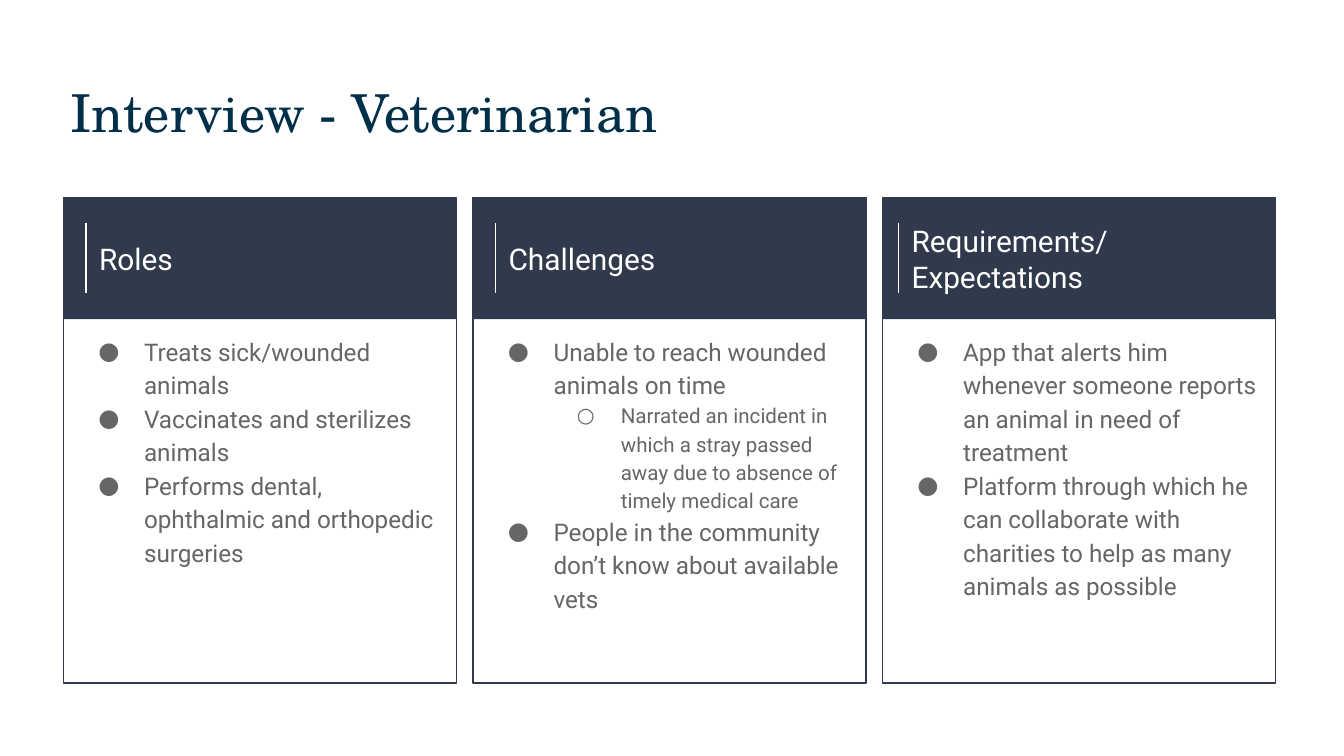
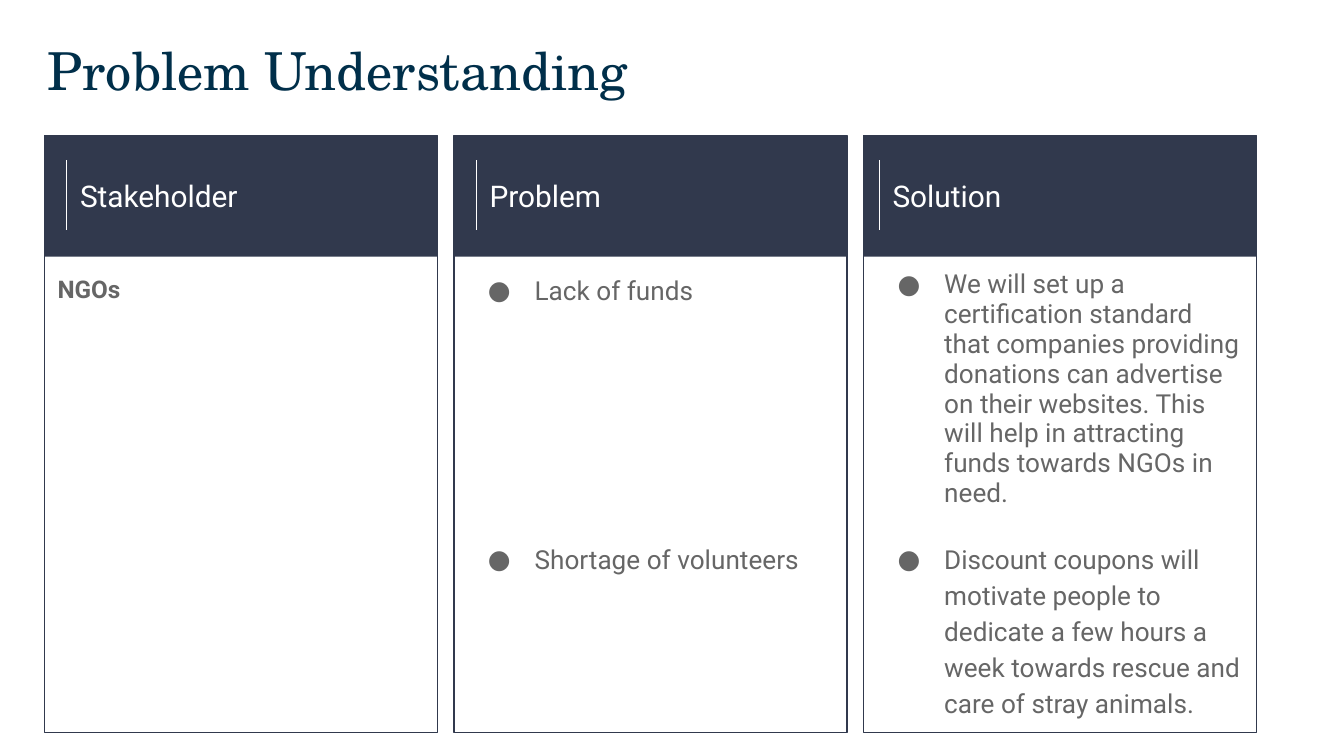
from lxml import etree
from pptx import Presentation
from pptx.dml.color import RGBColor
from pptx.enum import shapes, text
from pptx.oxml import ns
from pptx.util import Pt

NAVY, INK, GREY, WHITE = "31394D", "002F4A", "666666", "FFFFFF"
SERIF, SANS = "TeX Gyre Schola", "Roboto"
BULLETS = "●○"
COLUMN_WIDTH, COLUMN_PITCH, BAND_HEIGHT = 210.5, 219.4, 65
RULE_INSETS = (12, 12, 8.5)


def colour(value):
    return RGBColor.from_string(value)


class Deck:
    """Holds the shared style and the page being built."""

    def __init__(self):
        self.deck = Presentation()
        self.deck.slide_width, self.deck.slide_height = Pt(720), Pt(405)

    def start_page(self, title, title_left, title_top, left, top, height):
        self.page = self.deck.slides.add_slide(self.deck.slide_layouts[4])
        self.left, self.top, self.height = left, top, height
        heading, *self.bodies = list(self.page.placeholders)
        self.place(heading, title_left, title_top, 659, 54)
        para = heading.text_frame.paragraphs[0]
        self.span(para, title, 28, INK, SERIF)

    def finish_page(self):
        for body in self.bodies:
            body.element.getparent().remove(body.element)

    def column_left(self, column):
        return self.left + column * COLUMN_PITCH

    def place(self, box, left, top, width, height, anchor=text.MSO_ANCHOR.TOP):
        box.left, box.top, box.width, box.height = map(Pt, (left, top, width, height))
        frame = box.text_frame
        frame.word_wrap = True
        frame.auto_size = text.MSO_AUTO_SIZE.NONE
        frame.vertical_anchor = anchor
        frame.margin_left = frame.margin_right = Pt(7.2)
        frame.margin_top = frame.margin_bottom = Pt(7.2)
        frame.paragraphs[0].alignment = text.PP_ALIGN.LEFT

    def span(self, para, words, size, ink, font=SANS, bold=False):
        span = para.add_run()
        span.text = words
        span.font.name, span.font.size, span.font.bold = font, Pt(size), bold
        span.font.color.rgb = colour(ink)

    def bullet(self, para, level, size):
        para.level = level
        props = para._p.get_or_add_pPr()
        props.set("marL", str(Pt(36 * (level + 1))))
        props.set("indent", str(-Pt(18 + size / 2)))
        tint = etree.SubElement(props, ns.qn("a:buClr"))
        etree.SubElement(tint, ns.qn("a:srgbClr"), val=GREY)
        etree.SubElement(props, ns.qn("a:buFont"), typeface=SANS)
        etree.SubElement(props, ns.qn("a:buChar"), char=BULLETS[level])

    def text_box(self, left, top, width, height, lines, size, ink,
                 anchor=text.MSO_ANCHOR.TOP, bold=False, spacing=1.0):
        box = self.page.shapes.add_textbox(0, 0, 0, 0)
        self.place(box, left, top, width, height, anchor)
        frame = box.text_frame
        for index, line in enumerate(lines):
            para = frame.add_paragraph() if index else frame.paragraphs[0]
            para.line_spacing = spacing
            self.span(para, line, size, ink, bold=bold)

    def bullet_list(self, column, top, height, items, spacing=1.15):
        """Each item is (level, size, words)."""
        box = self.bodies.pop(0)
        self.place(box, self.column_left(column), top, COLUMN_WIDTH, height)
        frame = box.text_frame
        for index, (level, size, words) in enumerate(items):
            para = frame.add_paragraph() if index else frame.paragraphs[0]
            self.bullet(para, level, size)
            para.alignment = text.PP_ALIGN.LEFT
            para.line_spacing = spacing
            para.space_before = para.space_after = Pt(0)
            self.span(para, words, size, GREY)

    def rectangle(self, group, left, height):
        box = group.shapes.add_shape(shapes.MSO_SHAPE.RECTANGLE, Pt(left),
                                     Pt(self.top), Pt(COLUMN_WIDTH), Pt(height))
        box.shadow.inherit = False
        return box

    def rule(self, left):
        top = self.top + 13.5
        line = self.page.shapes.add_connector(
            shapes.MSO_CONNECTOR.STRAIGHT, Pt(left), Pt(top), Pt(left), Pt(top + 37.5))
        line.line.color.rgb = colour(WHITE)
        line.line.width = Pt(0.75)
        etree.SubElement(line._element.spPr, ns.qn("a:effectLst"))

    def panel(self, column, lines):
        left = self.column_left(column)
        group = self.page.shapes.add_group_shape()
        outline = self.rectangle(group, left, self.height)
        outline.fill.background()
        outline.line.color.rgb = colour(NAVY)
        outline.line.width = Pt(0.75)
        band = self.rectangle(group, left, BAND_HEIGHT)
        band.fill.solid()
        band.fill.fore_color.rgb = colour(NAVY)
        band.line.fill.background()
        inset = RULE_INSETS[column]
        self.rule(left + inset)
        self.text_box(left + inset, self.top, COLUMN_WIDTH - inset, BAND_HEIGHT,
                      lines, 16, WHITE, text.MSO_ANCHOR.MIDDLE)

    def panels(self, headings):
        for column, lines in enumerate(headings):
            self.panel(column, lines)


def interview(deck):
    deck.start_page("Interview - Veterinarian", 30.5, 36, 34, 106, 260)
    deck.panels([["Roles"], ["Challenges"], ["Requirements/", "Expectations"]])
    lists = [
        [(0, 13, "Treats sick/wounded animals"),
         (0, 13, "Vaccinates and sterilizes animals"),
         (0, 13, "Performs dental, ophthalmic and orthopedic surgeries")],
        [(0, 13, "Unable to reach wounded animals on time"),
         (1, 11, "Narrated an incident in which a stray passed away due to "
                 "absence of timely medical care"),
         (0, 13, "People in the community don’t know about available vets")],
        [(0, 13, "App that alerts him whenever someone reports an animal in "
                 "need of treatment"),
         (0, 13, "Platform through which he can collaborate with charities to "
                 "help as many animals as possible")],
    ]
    for column, items in enumerate(lists):
        deck.bullet_list(column, 171, 195, items)
    deck.finish_page()


def problem_understanding(deck):
    deck.start_page("Problem Understanding", 18.5, 13, 23.8, 72.5, 320)
    deck.panels([["Stakeholder"], ["Problem"], ["Solution"]])
    first_row, second_row = 137.5, 281.5

    # Stakeholder
    deck.text_box(deck.left, first_row, COLUMN_WIDTH, 175, ["NGOs"], 13, GREY,
                  bold=True, spacing=1.15)

    # Problems and their solutions
    deck.bullet_list(1, first_row, 37.5, [(0, 14, "Lack of funds")])
    deck.bullet_list(2, first_row, 144, [
        (0, 14, "We will set up a certification standard that companies providing "
                "donations can advertise on their websites. This will help in "
                "attracting funds towards NGOs in need.")], 0.95)
    deck.bullet_list(1, second_row, 37.5, [(0, 14, "Shortage of volunteers")])
    deck.bullet_list(2, second_row, 111, [
        (0, 14, "Discount coupons will motivate people to dedicate a few hours a "
                "week towards rescue and care of stray animals.")])
    deck.finish_page()


def main():
    deck = Deck()
    interview(deck)
    problem_understanding(deck)
    deck.deck.save("out.pptx")


if __name__ == "__main__":
    main()
